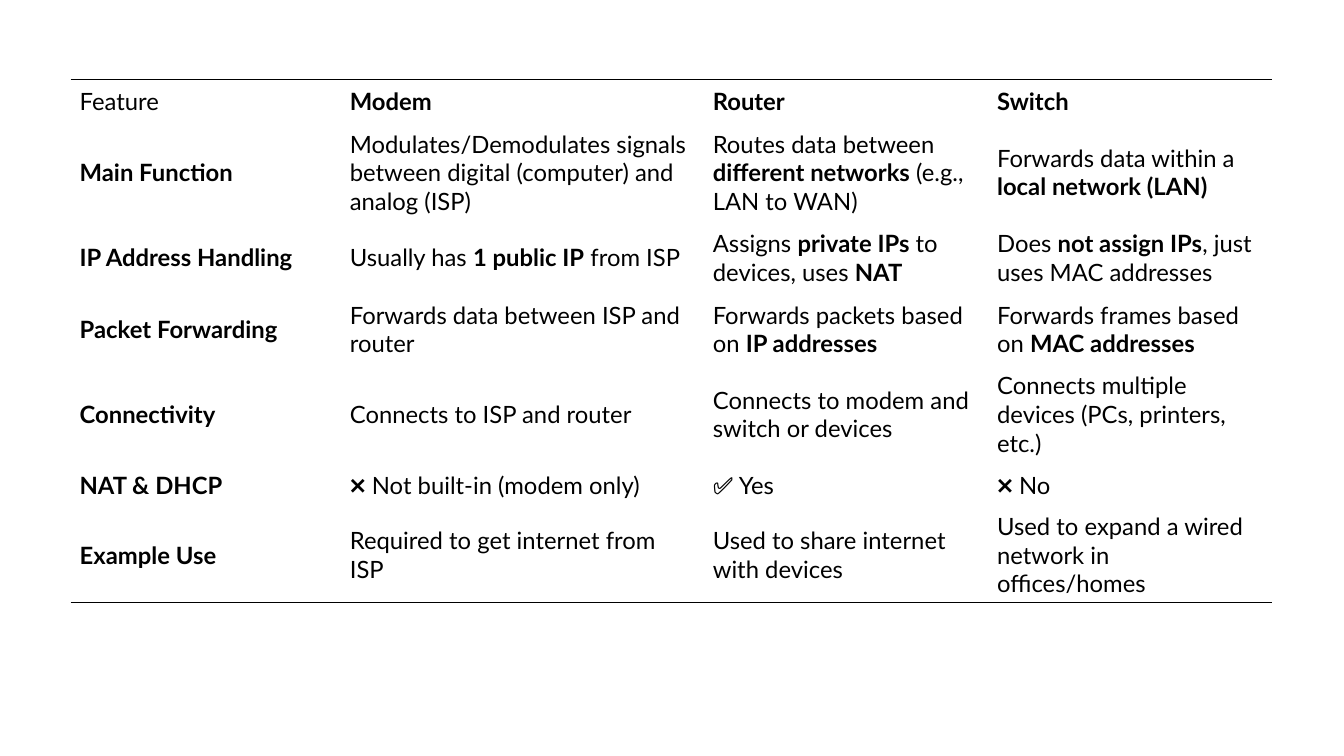
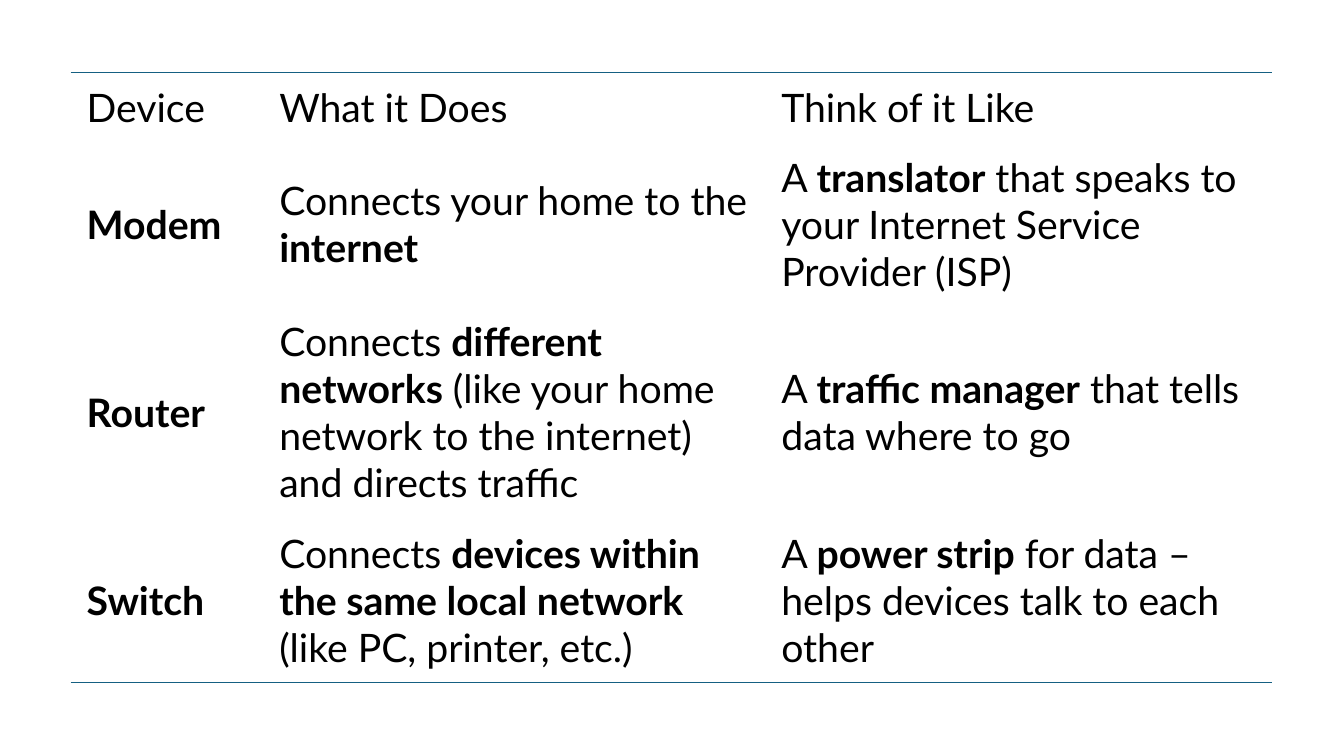
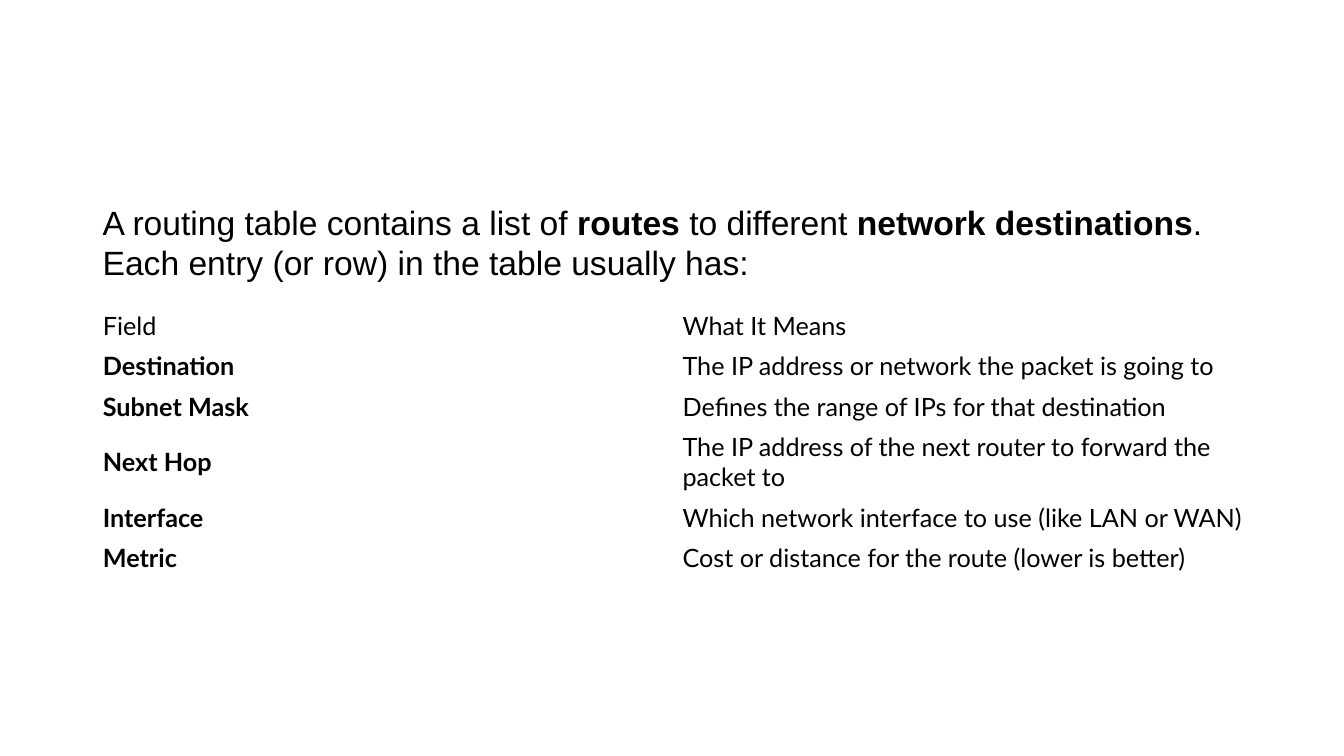
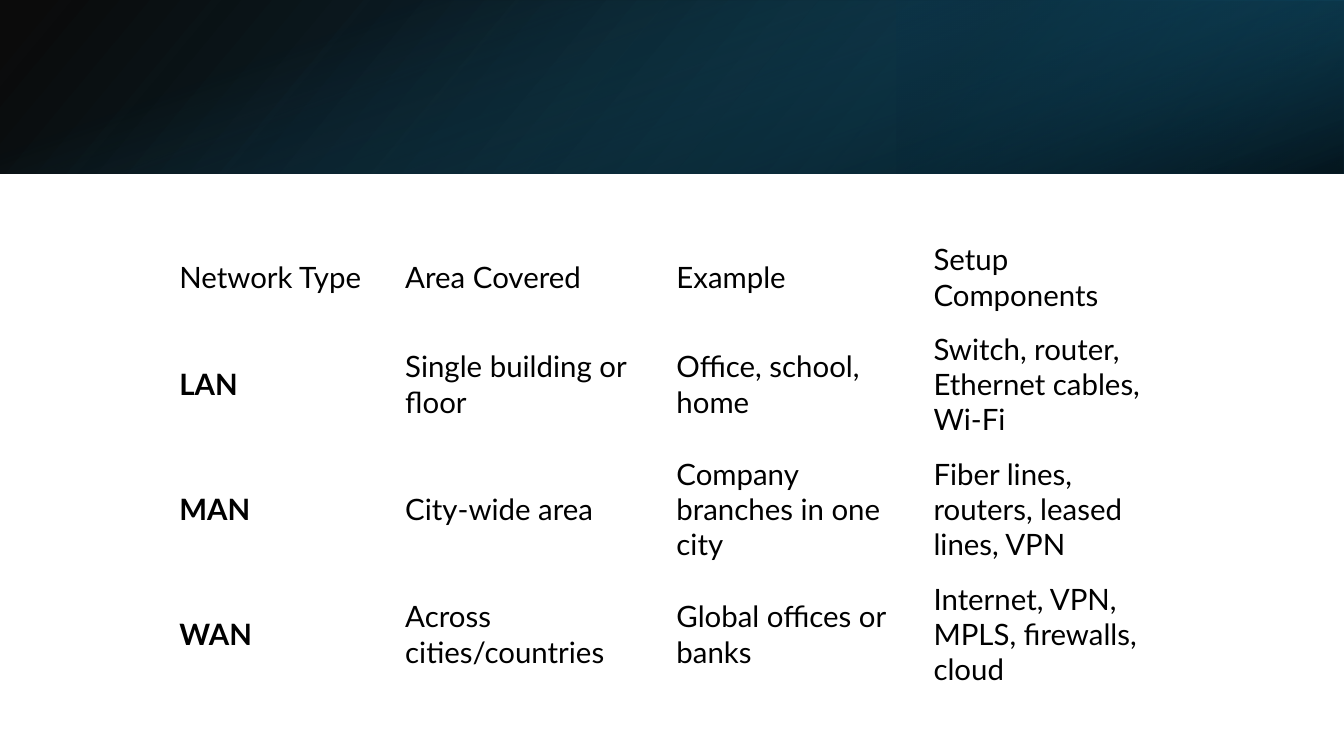
import pptx
import pptx.util
import pptx.dml.color
import pptx.enum.shapes
import pptx.enum.text
import pptx.oxml
import pptx.oxml.ns

Inches = pptx.util.Inches
RGB = pptx.dml.color.RGBColor
qn = pptx.oxml.ns.qn

BLACK = RGB(0x00, 0x00, 0x00)
TEAL = RGB(0x15, 0x60, 0x82)
NAVY = RGB(0x10, 0x48, 0x62)
DEEP = RGB(0x0B, 0x30, 0x41)
NO_GRID = "{2D5ABB26-0587-4C30-8999-92F81FD0307C}"
WIDE, HIGH, BAND = 13.33, 7.5, 1.72

# Text between ** marks is bold.
DEVICES = {
    "at": (0.7, 0.79), "size": 17, "pad": (0.09, 0.05), "rule": BLACK,
    "cols": [2.68, 3.6, 2.82, 2.82],
    "rows": [0.43, 0.98, 0.71, 0.71, 0.98, 0.43, 0.71],
    "cells": [
        ["Feature", "**Modem**", "**Router**", "**Switch**"],
        ["**Main Function**",
         "Modulates/Demodulates signals between digital (computer) and analog (ISP)",
         "Routes data between **different networks** (e.g., LAN to WAN)",
         "Forwards data within a **local network (LAN)**"],
        ["**IP Address Handling**",
         "Usually has **1 public IP** from ISP",
         "Assigns **private IPs** to devices, uses **NAT**",
         "Does **not assign IPs**, just uses MAC addresses"],
        ["**Packet Forwarding**",
         "Forwards data between ISP and router",
         "Forwards packets based on **IP addresses**",
         "Forwards frames based on **MAC addresses**"],
        ["**Connectivity**",
         "Connects to ISP and router",
         "Connects to modem and switch or devices",
         "Connects multiple devices (PCs, printers, etc.)"],
        ["**NAT & DHCP**", "❌ Not built-in (modem only)", "✅ Yes", "❌ No"],
        ["**Example Use**",
         "Required to get internet from ISP",
         "Used to share internet with devices",
         "Used to expand a wired network in offices/homes"],
    ],
}

ROLES = {
    "at": (0.7, 0.72), "size": 28, "pad": (0.16, 0.08), "rule": TEAL,
    "cols": [1.91, 4.98, 5.03],
    "rows": [0.69, 1.63, 2.1, 1.63],
    "cells": [
        ["Device", "What it Does", "Think of it Like"],
        ["**Modem**",
         "Connects your home to the **internet**",
         "A **translator** that speaks to your Internet Service Provider (ISP)"],
        ["**Router**",
         "Connects **different networks** (like your home network to the internet) "
         "and directs traffic",
         "A **traffic manager** that tells data where to go"],
        ["**Switch**",
         "Connects **devices within the same local network** (like PC, printer, etc.)",
         "A **power strip** for data – helps devices talk to each other"],
    ],
}

INTRO = ("A routing table contains a list of **routes** to different "
         "**network destinations**. Each entry (or row) in the table usually has:")

ROUTES = {
    "at": (0.92, 3.03), "size": 18, "pad": (0.1, 0.05), "rule": None,
    "cols": [5.75, 5.75],
    "rows": [0.4, 0.4, 0.4, 0.7, 0.4, 0.4],
    "cells": [
        ["Field", "What It Means"],
        ["**Destination**", "The IP address or network the packet is going to"],
        ["**Subnet Mask**", "Defines the range of IPs for that destination"],
        ["**Next Hop**", "The IP address of the next router to forward the packet to"],
        ["**Interface**", "Which network interface to use (like LAN or WAN)"],
        ["**Metric**", "Cost or distance for the route (lower is better)"],
    ],
}

AREAS = {
    "at": (1.66, 2.31), "size": 21, "pad": (0.12, 0.06), "rule": None,
    "cols": [2.24, 2.69, 2.55, 2.55],
    "rows": [0.88, 1.24, 1.24, 1.24],
    "cells": [
        ["Network Type", "Area Covered", "Example", "Setup Components"],
        ["**LAN**", "Single building or floor", "Office, school, home",
         "Switch, router, Ethernet cables, Wi-Fi"],
        ["**MAN**", "City-wide area", "Company branches in one city",
         "Fiber lines, routers, leased lines, VPN"],
        ["**WAN**", "Across cities/countries", "Global offices or banks",
         "Internet, VPN, MPLS, firewalls, cloud"],
    ],
}

# Place, rotation, mirrored, clockwise angle, stops of (percent, colour, opacity).
LAYERS = [
    ((0, 0, WIDE, BAND), 0, True, 140, [(0, BLACK, 96), (100, NAVY, 100)][:1]
     + [(100, NAVY, 100)]),
    ((8.89, 0, 4.44, BAND), 180, True, 320, [(19, DEEP, 68), (100, TEAL, 79)]),
    ((5.8, -5.8, BAND, WIDE), 90, False, 340, [(23, TEAL, 0), (99, BLACK, 74)]),
]
LAYERS[0] = LAYERS[0][:4] + ([(0, BLACK, 96), (100, NAVY, 100)],)


def style(item, form):
    for name, value in form.items():
        setattr(item, name, value)


def write(frame, text, size, face):
    para = frame.paragraphs[0]
    for i, part in enumerate(text.split("**")):
        if part:
            run = para.add_run()
            run.text = part
            style(run.font, {"size": pptx.util.Pt(size), "name": face, "bold": i % 2 == 1})
            run.font.color.rgb = BLACK


def edge(cell, side, color):
    """Draw a 1 pt border on one side, lnT or lnB, of a cell."""
    cell._tc.get_or_add_tcPr().insert(0, pptx.oxml.parse_xml(
        f'<a:{side} {pptx.oxml.ns.nsdecls("a")} w="12700"><a:solidFill>'
        f'<a:srgbClr val="{color}"/></a:solidFill></a:{side}>'))


def grid(slide, data):
    cols, rows = data["cols"], data["rows"]
    box = [Inches(v) for v in (*data["at"], sum(cols), sum(rows))]
    table = slide.shapes.add_table(len(rows), len(cols), *box).table
    style(table, {"first_row": False, "horz_banding": False})
    table._tbl.tblPr.find(qn("a:tableStyleId")).text = NO_GRID
    for col, width in zip(table.columns, cols):
        col.width = Inches(width)
    for row, height in zip(table.rows, rows):
        row.height = Inches(height)
    side, top = (Inches(v) for v in data["pad"])
    form = {"margin_left": side, "margin_right": side, "margin_top": top,
            "margin_bottom": top, "vertical_anchor": pptx.enum.text.MSO_ANCHOR.MIDDLE}
    for r, line in enumerate(data["cells"]):
        for c, text in enumerate(line):
            cell = table.cell(r, c)
            style(cell, form)
            cell.fill.background()
            write(cell.text_frame, text, data["size"], "Lato")
            if data["rule"] is not None:
                if r == 0:
                    edge(cell, "lnT", data["rule"])
                if r == len(rows) - 1:
                    edge(cell, "lnB", data["rule"])


def layer(slide, place, turn, flip, angle, stops):
    shape = slide.shapes.add_shape(
        pptx.enum.shapes.MSO_SHAPE.RECTANGLE, *[Inches(v) for v in place])
    shape.shadow.inherit = False
    shape.line.fill.background()
    shape.rotation = turn
    if flip:
        shape.element.spPr.find(qn("a:xfrm")).set("flipH", "1")
    shape.fill.gradient()
    shape.fill.gradient_angle = 360 - angle
    for stop, (spot, color, _) in zip(shape.fill.gradient_stops, stops):
        stop.position = spot / 100
        stop.color.rgb = color
    tints = shape.element.spPr.iter(qn("a:srgbClr"))
    for tint, (_, _, alpha) in zip(list(tints), stops):
        tint.append(pptx.oxml.parse_xml(
            f'<a:alpha {pptx.oxml.ns.nsdecls("a")} val="{alpha * 1000}"/>'))


def intro(slide):
    box = slide.shapes.add_textbox(*[Inches(v) for v in (0.92, 1.95, 11.5, 1.31)])
    style(box.text_frame, {"word_wrap": True,
                           "auto_size": pptx.enum.text.MSO_AUTO_SIZE.SHAPE_TO_FIT_TEXT})
    write(box.text_frame, INTRO, 24, "Arial")


def main():
    deck = pptx.Presentation()
    style(deck, {"slide_width": Inches(WIDE), "slide_height": Inches(HIGH)})
    for data in (DEVICES, ROLES, ROUTES, AREAS):
        slide = deck.slides.add_slide(deck.slide_layouts[6])
        if data is AREAS:
            for item in LAYERS:
                layer(slide, *item)
        grid(slide, data)
        if data is ROUTES:
            intro(slide)
    deck.save("out.pptx")


if __name__ == "__main__":
    main()
